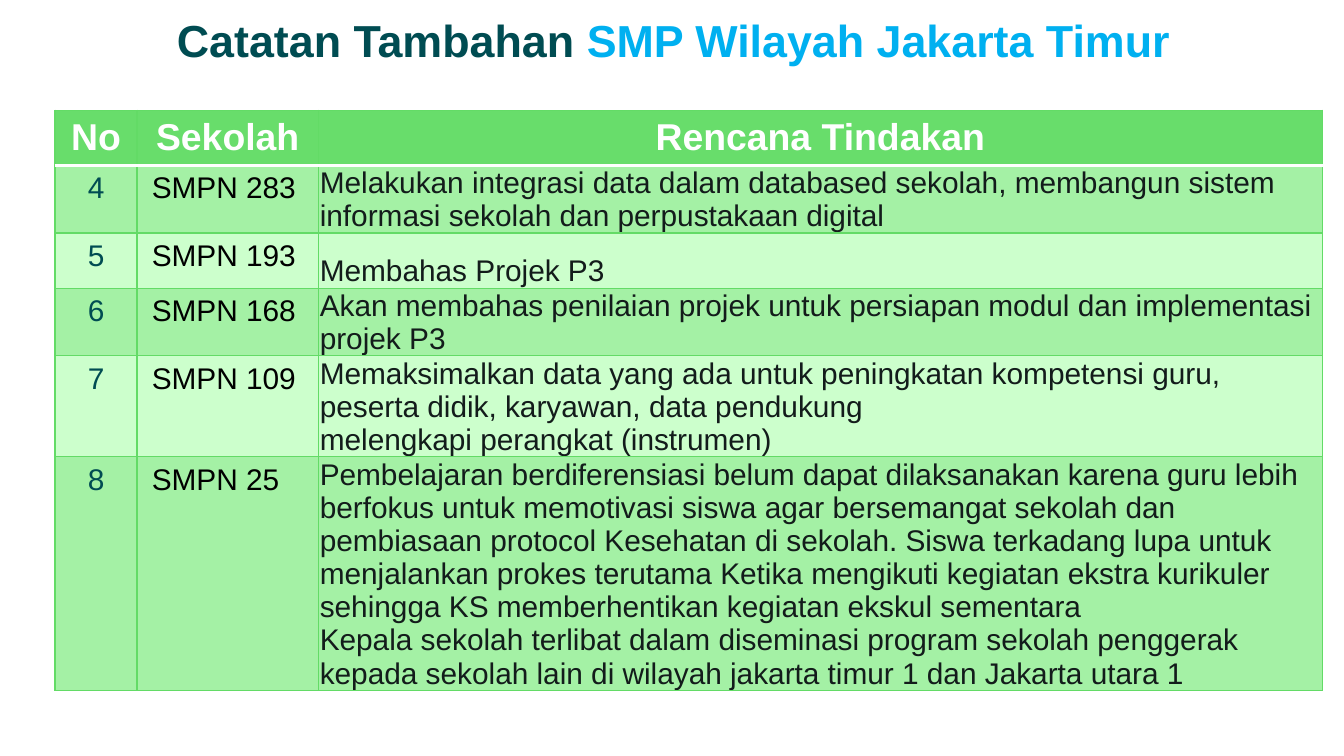
import pptx
import pptx.dml.color
import pptx.enum.text
import pptx.oxml
import pptx.oxml.ns
import pptx.util

Inches = pptx.util.Inches
Pt = pptx.util.Pt
RGBColor = pptx.dml.color.RGBColor
ALIGN = pptx.enum.text.PP_ALIGN
ANCHOR = pptx.enum.text.MSO_ANCHOR

TEAL = RGBColor(0x00, 0x4C, 0x52)
SKY = RGBColor(0x00, 0xB0, 0xF0)
WHITE = RGBColor(0xFF, 0xFF, 0xFF)
BLACK = RGBColor(0x00, 0x00, 0x00)
INK = RGBColor(0x13, 0x1C, 0x1B)
GREEN = RGBColor(0x68, 0xDD, 0x6B)
BORDER = RGBColor(0x63, 0xDB, 0x66)
MID_GREEN = RGBColor(0xA4, 0xF1, 0xA5)
PALE_GREEN = RGBColor(0xCC, 0xFF, 0xCC)

HEADERS = ["No", "Sekolah", "Rencana Tindakan"]
SCHOOLS = [
    ("4", "SMPN 283", "Melakukan integrasi data dalam databased sekolah, membangun "
     "sistem informasi sekolah dan perpustakaan digital"),
    ("5", "SMPN 193", "Membahas Projek P3"),
    ("6", "SMPN 168", "Akan membahas penilaian projek untuk persiapan modul dan "
     "implementasi projek P3"),
    ("7", "SMPN 109", "Memaksimalkan data yang ada untuk peningkatan kompetensi guru, "
     "peserta didik, karyawan, data pendukung \vmelengkapi perangkat (instrumen)"),
    ("8", "SMPN 25", "Pembelajaran berdiferensiasi belum dapat dilaksanakan karena guru "
     "lebih berfokus untuk memotivasi siswa agar bersemangat sekolah dan pembiasaan "
     "protocol Kesehatan di sekolah. Siswa terkadang lupa untuk menjalankan prokes "
     "terutama Ketika mengikuti kegiatan ekstra kurikuler sehingga KS memberhentikan "
     "kegiatan ekskul sementara \vKepala sekolah terlibat dalam diseminasi program "
     "sekolah penggerak kepada sekolah lain di wilayah jakarta timur 1 dan Jakarta utara 1"),
]
COL_WIDTHS = [0.61, 1.35, 7.47]
ROW_HEIGHT = 0.41
COL_COLORS = [TEAL, BLACK, INK]
COL_ALIGNS = [ALIGN.CENTER, ALIGN.LEFT, ALIGN.LEFT]


def style_font(font, size, color, bold):
    """Apply the slide's typeface with a size, colour and weight."""
    font.name = "Arial"
    font.size = Pt(size)
    font.bold = bold
    font.color.rgb = color


def set_insets(box, left, top, right, bottom):
    """Set the four inner margins of a cell or text frame."""
    box.margin_left, box.margin_right = Inches(left), Inches(right)
    box.margin_top, box.margin_bottom = Inches(top), Inches(bottom)


def add_title(s, parts):
    """Write the title as differently coloured runs."""
    sp = s.shapes.title
    sp.left, sp.top, sp.width, sp.height = map(Inches, (0.01, 0.09, 10, 0.46))
    tf = sp.text_frame
    tf.word_wrap = True
    tf.auto_size = pptx.enum.text.MSO_AUTO_SIZE.NONE
    tf.vertical_anchor = ANCHOR.MIDDLE
    set_insets(tf, 0.07, 0.04, 0.07, 0.04)
    p = tf.paragraphs[0]
    p.alignment = ALIGN.CENTER
    p.line_spacing = 0.9
    for text, color in parts:
        r = p.add_run()
        r.text = text
        style_font(r.font, 24, color, True)


def set_border(cell, edge, color, width):
    """Add one solid border line to a cell."""
    cell._tc.get_or_add_tcPr().append(pptx.oxml.parse_xml(
        f'<a:ln{edge} {pptx.oxml.ns.nsdecls("a")} w="{Pt(width)}">'
        f'<a:solidFill><a:srgbClr val="{color}"/></a:solidFill></a:ln{edge}>'))


def fill_cell(cell, text, align, size, color, bold, fill, white_edge):
    """Write and format one cell, with a white rule on one edge if named."""
    cell.text_frame.text = text
    p = cell.text_frame.paragraphs[0]
    p.alignment = align
    for r in p.runs:
        style_font(r.font, size, color, bold)
    set_insets(cell, 0.11, 0.05, 0.11, 0.05)
    for edge in "LRTB":
        if edge == white_edge:
            set_border(cell, edge, WHITE, 2)
        else:
            set_border(cell, edge, BORDER, 0.75)
    cell.fill.solid()
    cell.fill.fore_color.rgb = fill


def add_school_table(s):
    """Add the table of schools and their planned actions."""
    frame = s.shapes.add_table(
        len(SCHOOLS) + 1, len(HEADERS), Inches(0.41), Inches(0.82),
        Inches(9.44), Inches(4.6))
    table = frame.table
    for col, width in zip(table.columns, COL_WIDTHS):
        col.width = Inches(width)
    for row in table.rows:
        row.height = Inches(ROW_HEIGHT)
    frame.width, frame.height = Inches(9.44), Inches(4.6)
    for j, text in enumerate(HEADERS):
        fill_cell(table.cell(0, j), text, ALIGN.CENTER, 20, WHITE, True, GREEN, "B")
    for i, school in enumerate(SCHOOLS, 1):
        fill = MID_GREEN if i % 2 else PALE_GREEN
        white_edge = "T" if i == 1 else None
        for j, text in enumerate(school):
            fill_cell(table.cell(i, j), text, COL_ALIGNS[j], 16, COL_COLORS[j],
                      False, fill, white_edge)
        plan = table.cell(i, 2)
        plan.vertical_anchor = ANCHOR.BOTTOM
        set_insets(plan, 0.01, 0.01, 0.01, 0)


def main():
    """Build and save the slide."""
    prs = pptx.Presentation()
    prs.slide_width = Inches(10)
    prs.slide_height = prs.slide_width * 9 // 16
    s = prs.slides.add_slide(prs.slide_layouts[5])
    add_title(s, [("Catatan Tambahan ", TEAL), ("SMP Wilayah Jakarta Timur", SKY)])
    add_school_table(s)
    prs.save("out.pptx")


if __name__ == "__main__":
    main()
